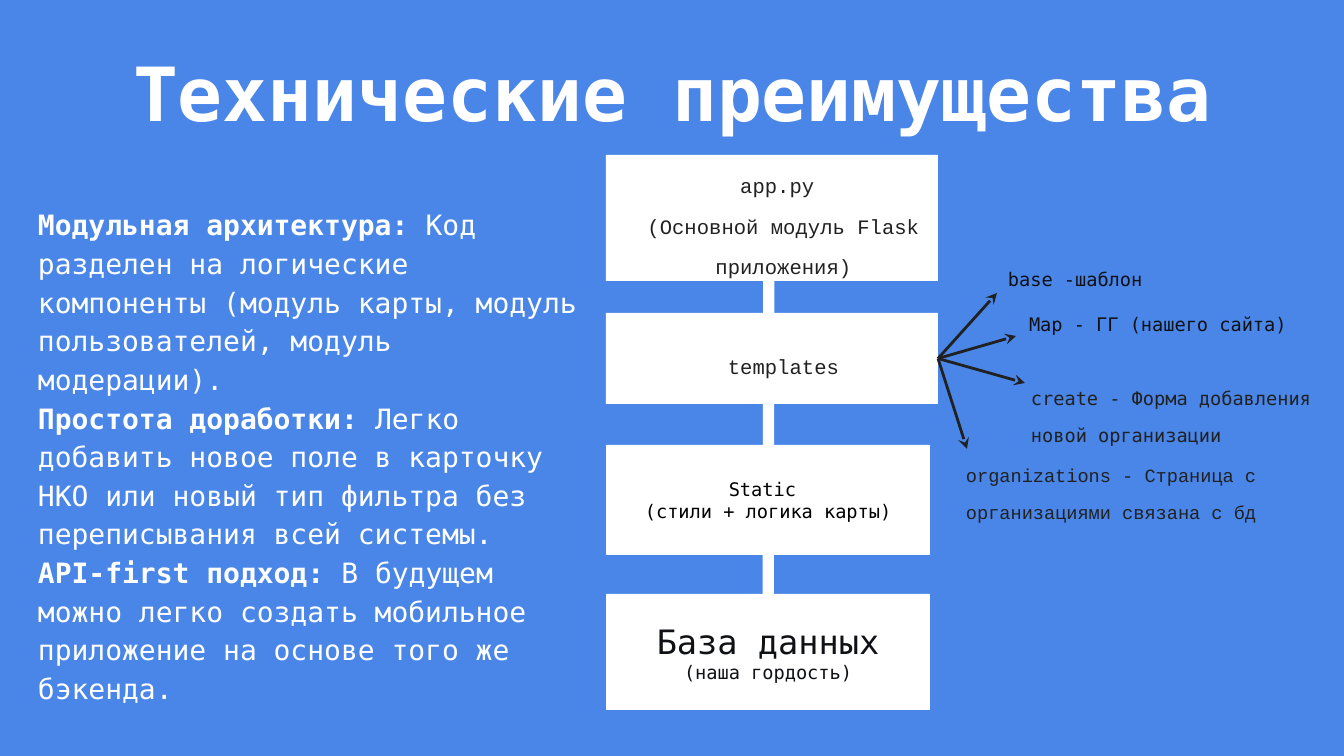
from dataclasses import dataclass

from lxml.etree import SubElement
from pptx import Presentation
from pptx.dml.color import RGBColor
from pptx.enum.shapes import MSO_CONNECTOR, MSO_SHAPE
from pptx.enum.text import MSO_ANCHOR, PP_ALIGN
from pptx.oxml.ns import qn
from pptx.shapes.autoshape import Shape
from pptx.shapes.connector import Connector
from pptx.slide import Slide
from pptx.util import Emu, Pt

EMU_PER_PX = 914400 / 134.4
COLORS = {
    "background": "4A86E8",
    "white": "FFFFFF",
    "gray": "212121",
    "ink": "0F1115",
    "black": "000000",
}
SANS_MONO = "DejaVu Sans Mono"
COURIER = "Courier New"
INSET = 13
MARGIN = 23


@dataclass(frozen=True)
class Span:
    text: str
    size: int
    color: str
    font: str = SANS_MONO
    bold: bool = False
    break_after: bool = False


@dataclass(frozen=True)
class Block:
    left: int
    top: int
    width: int
    height: int
    paragraphs: list[list[Span]]
    spacing: float = 1.0
    margin: int = 0


def px(value: int) -> Emu:
    """Turn pixels into EMU."""
    return Emu(round(value * EMU_PER_PX))


def rgb(name: str) -> RGBColor:
    """Look up a colour by name."""
    return RGBColor.from_string(COLORS[name])


def write(shape: Shape, block: Block, align: PP_ALIGN, anchor: MSO_ANCHOR) -> None:
    """Fill a shape with the paragraphs of a block."""
    frame = shape.text_frame
    frame.word_wrap = True
    frame.vertical_anchor = anchor
    frame.margin_left = frame.margin_right = px(INSET)
    frame.margin_top = frame.margin_bottom = px(INSET)
    for index, spans in enumerate(block.paragraphs):
        paragraph = frame.paragraphs[0] if index == 0 else frame.add_paragraph()
        paragraph.alignment = align
        paragraph.line_spacing = block.spacing
        if block.margin:
            properties = paragraph._p.get_or_add_pPr()
            properties.set("marL", str(px(block.margin)))
            properties.set("indent", "0")
        for span in spans:
            run = paragraph.add_run()
            run.text = span.text
            run.font.name = span.font
            run.font.size = Pt(span.size)
            run.font.bold = span.bold
            run.font.color.rgb = rgb(span.color)
            if span.break_after:
                paragraph.add_line_break()


def add_text(slide: Slide, block: Block, align: PP_ALIGN = PP_ALIGN.LEFT,
             anchor: MSO_ANCHOR = MSO_ANCHOR.TOP) -> None:
    """Add a text box."""
    box = slide.shapes.add_textbox(
        px(block.left), px(block.top), px(block.width), px(block.height))
    write(box, block, align, anchor)


def add_module(slide: Slide, block: Block) -> Shape:
    """Add a white module rectangle with centred text."""
    module = slide.shapes.add_shape(
        MSO_SHAPE.RECTANGLE,
        px(block.left), px(block.top), px(block.width), px(block.height))
    module.shadow.inherit = False
    module.fill.solid()
    module.fill.fore_color.rgb = rgb("white")
    module.line.fill.background()
    write(module, block, PP_ALIGN.CENTER, MSO_ANCHOR.MIDDLE)
    return module


def add_line(slide: Slide, start: tuple[int, int], end: tuple[int, int],
             color: str, weight: float, arrow: bool = False) -> Connector:
    """Add a straight connector, with an arrowhead on request."""
    line = slide.shapes.add_connector(
        MSO_CONNECTOR.STRAIGHT, *map(px, start), *map(px, end))
    line.line.color.rgb = rgb(color)
    line.line.width = Pt(weight)
    if arrow:
        SubElement(line.line._get_or_add_ln(), qn("a:tailEnd"), type="stealth")
    SubElement(line._element.spPr, qn("a:effectLst"))
    return line


TITLE = Block(0, 0, 1344, 184,
              [[Span("Технические преимущества", 40, "white", bold=True)]])

ADVANTAGES = [
    ("Модульная архитектура:",
     " Код разделен на логические компоненты (модуль карты, модуль пользователей, модуль модерации)."),
    ("Простота доработки:",
     " Легко добавить новое поле в карточку НКО или новый тип фильтра без переписывания всей системы."),
    ("API-first подход:",
     " В будущем можно легко создать мобильное приложение на основе того же бэкенда."),
]
ADVANTAGE_LIST = Block(
    25, 190, 581, 543,
    [[Span(heading, 15, "white", bold=True), Span(detail, 15, "white")]
     for heading, detail in ADVANTAGES],
    spacing=1.15)

APP = Block(606, 155, 332, 126, [
    [Span("app.py ", 11, "gray", COURIER)],
    [Span("(Основной модуль Flask приложения)", 11, "gray", COURIER)],
], 1.65, MARGIN)
TEMPLATES = Block(606, 313, 332, 91,
                  [[Span("templates", 11, "gray", COURIER)]], 1.65, MARGIN)
STATIC = Block(606, 445, 324, 110, [
    [Span("Static ", 10, "black")],
    [Span("(стили + логика карты)", 10, "black")],
])
DATABASE = Block(606, 594, 324, 116, [
    [Span("База данных", 18, "ink", break_after=True),
     Span("(наша гордость)", 10, "ink")],
])

TEMPLATE_LABELS = [
    Block(995, 257, 274, 46, [[Span("base -шаблон", 10, "ink")]]),
    Block(1016, 302, 308, 46, [[Span("Map - ГГ (нашего сайта)", 10, "ink")]]),
    Block(930, 436, 414, 87,
          [[Span("organizations - Страница с организациями связана с бд", 10, "gray", COURIER)]],
          1.65, MARGIN),
    Block(995, 359, 361, 66,
          [[Span("create - Форма добавления новой организации", 10, "gray")]],
          1.65, MARGIN),
]
ARROW_TIPS = [(997, 293), (1016, 336), (967, 449), (1025, 383)]


def main() -> None:
    """Build the slide and save it."""
    presentation = Presentation()
    presentation.slide_width = px(1344)
    presentation.slide_height = px(756)
    slide = presentation.slides.add_slide(presentation.slide_layouts[6])
    slide.background.fill.solid()
    slide.background.fill.fore_color.rgb = rgb("background")

    spine = add_line(slide, (769, 190), (768, 710), "white", 6)
    add_text(slide, TITLE, PP_ALIGN.CENTER, MSO_ANCHOR.MIDDLE)
    add_text(slide, ADVANTAGE_LIST)
    add_module(slide, APP)
    templates = add_module(slide, TEMPLATES)
    for tip in ARROW_TIPS:
        branch = add_line(slide, (938, 358), tip, "gray", 1.5, arrow=True)
        branch.begin_connect(templates, 3)
    for label in TEMPLATE_LABELS:
        add_text(slide, label)
    add_module(slide, STATIC)
    database = add_module(slide, DATABASE)
    spine.end_connect(database, 2)

    presentation.save("out.pptx")


if __name__ == "__main__":
    main()
